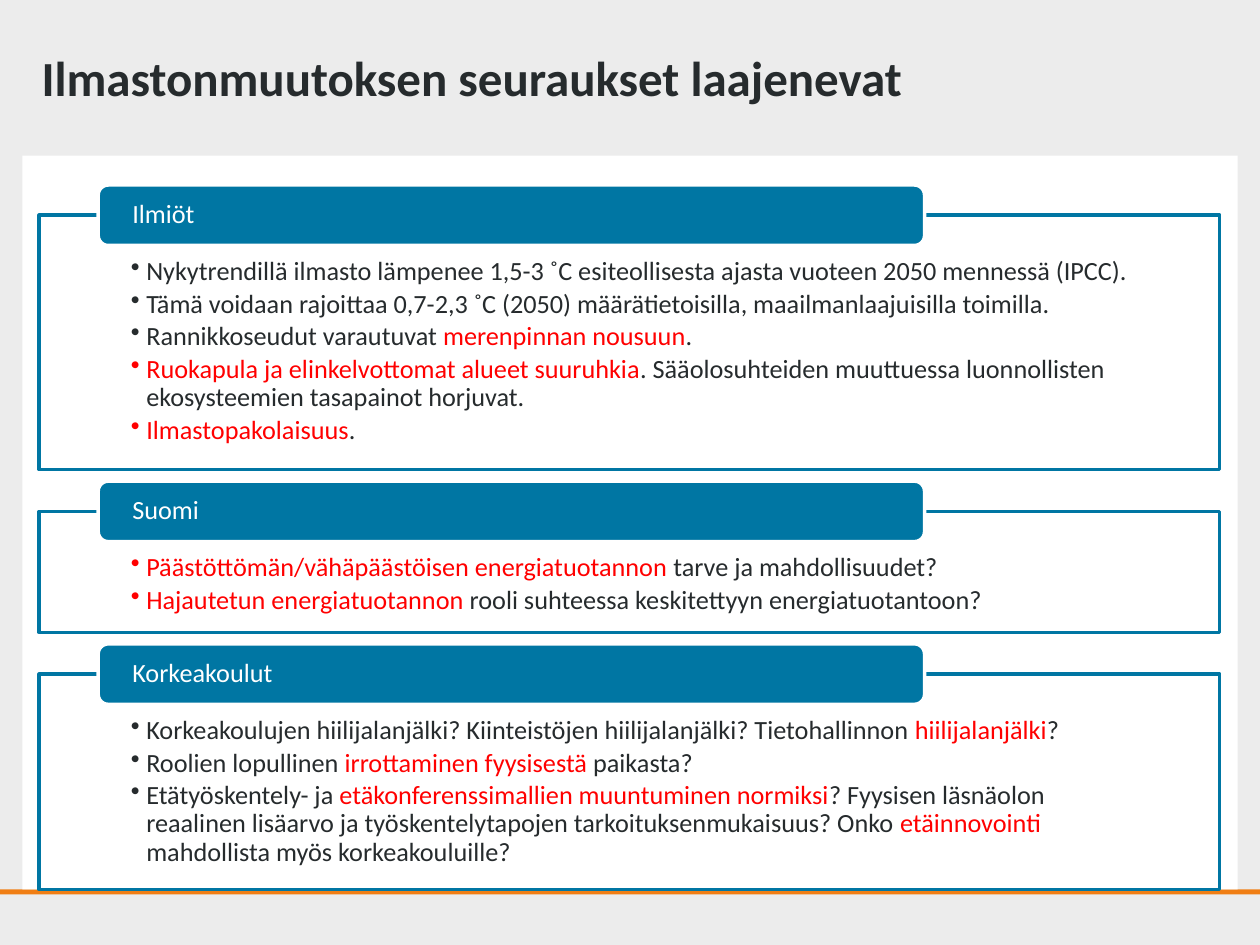
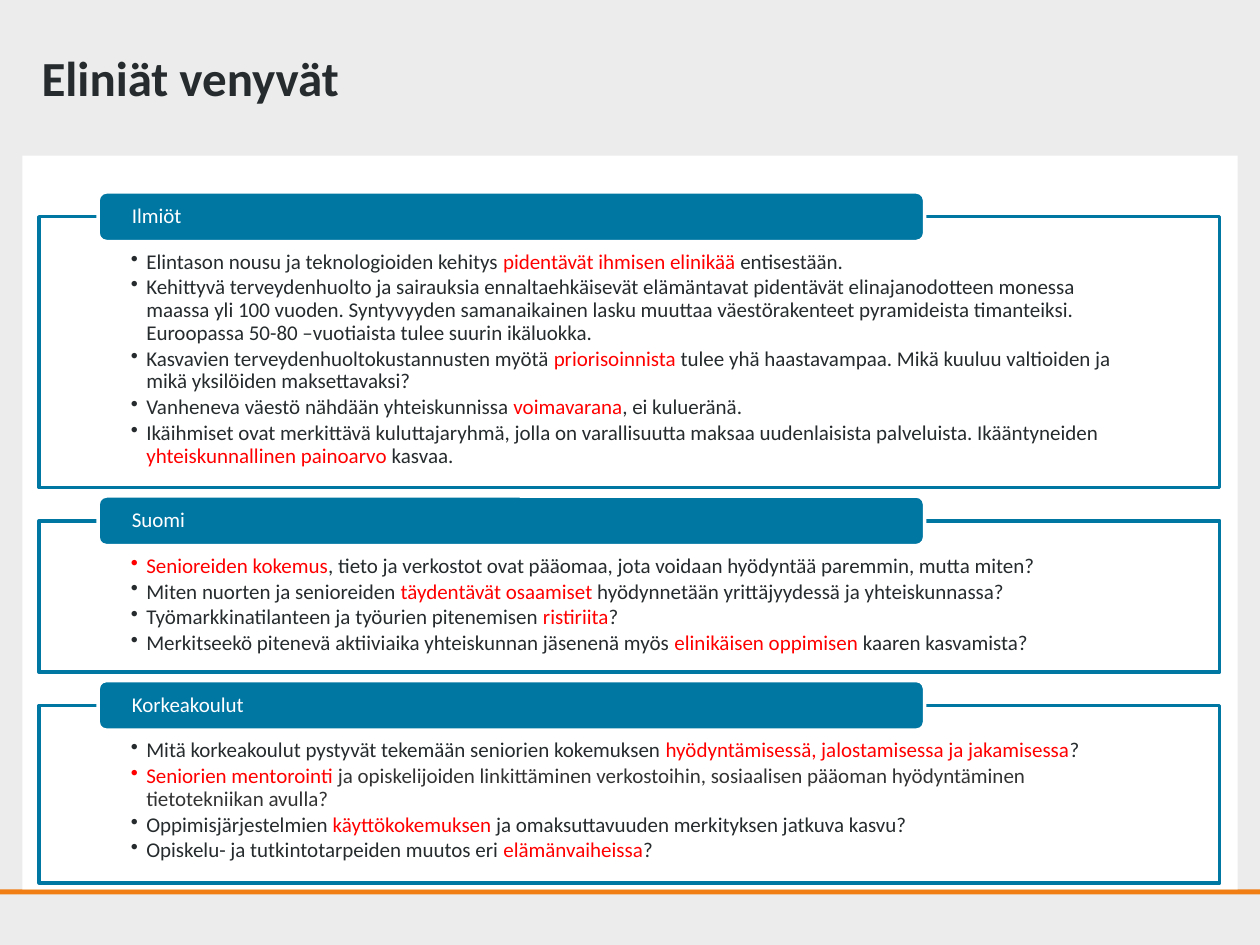
from dataclasses import dataclass

from lxml import etree
from pptx import Presentation
from pptx import util as u
from pptx.dml.color import RGBColor
from pptx.enum import shapes, text
from pptx.oxml import ns


@dataclass(frozen=True)
class Theme:
    font: str = "Calibri"
    backdrop: str = "ECECEC"
    paper: str = "FFFFFF"
    strip: str = "F07E14"
    panel: str = "0076A3"
    ink: str = "262B2D"
    soft: str = "333333"
    accent: str = "FF0000"
    title_size: int = 28
    line_width: int = 2
    line_spacing: float = 0.9


THEME = Theme()


@dataclass(frozen=True)
class Density:
    size: int
    top: float
    gap: float
    tab_height: float
    inset_top: float
    inset_bottom: float
    space_after: float


ROOMY = Density(15, 4.34, 0.84, 1.22, 0.86, 0.3, 2.4)
TIGHT = Density(12, 4.37, 0.67, 1.0, 0.69, 0.23, 1.8)

SLIDES = [
    ("Ilmastonmuutoksen seuraukset laajenevat", ROOMY, [
        ("Ilmiöt", 5.13, [
            "Nykytrendillä ilmasto lämpenee 1,5-3 ˚C esiteollisesta ajasta vuoteen 2050 mennessä (IPCC).",
            "Tämä voidaan rajoittaa 0,7-2,3 ˚C (2050) määrätietoisilla, maailmanlaajuisilla toimilla.",
            "Rannikkoseudut varautuvat *merenpinnan nousuun*.",
            "*Ruokapula ja elinkelvottomat alueet suuruhkia*. Sääolosuhteiden muuttuessa "
            "luonnollisten ekosysteemien tasapainot horjuvat.",
            "*Ilmastopakolaisuus*.",
        ]),
        ("Suomi", 2.44, [
            "*Päästöttömän/vähäpäästöisen energiatuotannon* tarve ja mahdollisuudet?",
            "*Hajautetun energiatuotannon* rooli suhteessa keskitettyyn energiatuotantoon?",
        ]),
        ("Korkeakoulut", 4.34, [
            "Korkeakoulujen hiilijalanjälki? Kiinteistöjen hiilijalanjälki? "
            "Tietohallinnon *hiilijalanjälki*?",
            "Roolien lopullinen *irrottaminen fyysisestä* paikasta?",
            "Etätyöskentely- ja *etäkonferenssimallien muuntuminen normiksi*? Fyysisen läsnäolon "
            "reaalinen lisäarvo ja työskentelytapojen tarkoituksenmukaisuus? "
            "Onko *etäinnovointi* mahdollista myös korkeakouluille?",
        ]),
    ]),
    ("Eliniät venyvät", TIGHT, [
        ("Ilmiöt", 5.46, [
            "Elintason nousu ja teknologioiden kehitys *pidentävät ihmisen elinikää* entisestään.",
            "Kehittyvä terveydenhuolto ja sairauksia ennaltaehkäisevät elämäntavat pidentävät "
            "elinajanodotteen monessa maassa yli 100 vuoden. Syntyvyyden samanaikainen lasku "
            "muuttaa väestörakenteet pyramideista timanteiksi. "
            "Euroopassa 50-80 –vuotiaista tulee suurin ikäluokka.",
            "Kasvavien terveydenhuoltokustannusten myötä *priorisoinnista* tulee yhä "
            "haastavampaa. Mikä kuuluu valtioiden ja mikä yksilöiden maksettavaksi?",
            "Vanheneva väestö nähdään yhteiskunnissa *voimavarana*, ei kulueränä.",
            "Ikäihmiset ovat merkittävä kuluttajaryhmä, jolla on varallisuutta maksaa "
            "uudenlaisista palveluista. Ikääntyneiden *yhteiskunnallinen painoarvo* kasvaa.",
        ]),
        ("Suomi", 3.05, [
            "*Senioreiden kokemus*, tieto ja verkostot ovat pääomaa, jota voidaan hyödyntää "
            "paremmin, mutta miten?",
            "Miten nuorten ja senioreiden *täydentävät osaamiset* hyödynnetään yrittäjyydessä "
            "ja yhteiskunnassa?",
            "Työmarkkinatilanteen ja työurien pitenemisen *ristiriita*?",
            "Merkitseekö pitenevä aktiiviaika yhteiskunnan jäsenenä myös "
            "*elinikäisen oppimisen* kaaren kasvamista?",
        ]),
        ("Korkeakoulut", 3.58, [
            "Mitä korkeakoulut pystyvät tekemään seniorien kokemuksen "
            "*hyödyntämisessä, jalostamisessa ja jakamisessa*?",
            ("*Seniorien mentorointi* ja opiskelijoiden linkittäminen verkostoihin, sosiaalisen "
             "pääoman hyödyntäminen tietotekniikan avulla?", THEME.soft),
            "Oppimisjärjestelmien *käyttökokemuksen* ja omaksuttavuuden merkityksen jatkuva kasvu?",
            "Opiskelu- ja tutkintotarpeiden muutos eri *elämänvaiheissa*?",
        ]),
    ]),
]


def apply(target, values):
    for name, value in values.items():
        setattr(target, name, value)


def colour(value):
    return RGBColor.from_string(value)


def set_frame(box, anchor, left, top, right, bottom):
    apply(box.text_frame, {
        "word_wrap": True,
        "vertical_anchor": anchor,
        "margin_left": u.Cm(left),
        "margin_top": u.Cm(top),
        "margin_right": u.Cm(right),
        "margin_bottom": u.Cm(bottom),
    })


def add_span(para, words, size, ink, bold=False):
    span = para.add_run()
    span.text = words
    apply(span.font, {"name": THEME.font, "size": u.Pt(size), "bold": bold})
    span.font.color.rgb = colour(ink)


def add_block(page, kind, place, fill, line=None):
    box = page.shapes.add_shape(kind, *map(u.Cm, place))
    box.shadow.inherit = False
    box.fill.solid()
    box.fill.fore_color.rgb = colour(fill)
    if line:
        box.line.color.rgb = colour(line)
        box.line.width = u.Pt(THEME.line_width)
    else:
        box.line.fill.background()
    return box


def add_bullet(para, item, density):
    words, ink = item if isinstance(item, tuple) else (item, THEME.ink)
    properties = para._p.get_or_add_pPr()
    properties.set("marL", str(u.Cm(0.31)))
    properties.set("indent", str(-u.Cm(0.31)))
    etree.SubElement(properties, ns.qn("a:buChar")).set("char", "•")
    apply(para, {
        "alignment": text.PP_ALIGN.LEFT,
        "line_spacing": THEME.line_spacing,
        "space_after": u.Pt(density.space_after),
    })
    for index, part in enumerate(words.split("*")):
        if part:
            add_span(para, part, density.size, THEME.accent if index % 2 else ink)


def add_panel(page, top, height, items, density):
    box = add_block(page, shapes.MSO_SHAPE.RECTANGLE, (0.79, top, 23.8, height),
                    THEME.paper, THEME.panel)
    set_frame(box, text.MSO_ANCHOR.TOP, 1.85, density.inset_top, 1.85, density.inset_bottom)
    frame = box.text_frame
    for index, item in enumerate(items):
        para = frame.add_paragraph() if index else frame.paragraphs[0]
        add_bullet(para, item, density)


def add_tab(page, top, label, density):
    height = density.tab_height
    box = add_block(page, shapes.MSO_SHAPE.ROUNDED_RECTANGLE,
                    (1.98, top - height / 2, 16.66, height), THEME.panel, THEME.paper)
    set_frame(box, text.MSO_ANCHOR.MIDDLE, 0.63, 0, 0.63, 0)
    para = box.text_frame.paragraphs[0]
    apply(para, {"alignment": text.PP_ALIGN.LEFT, "line_spacing": THEME.line_spacing})
    add_span(para, label, density.size, THEME.paper)


def add_title(page, words):
    box = page.shapes.add_textbox(*map(u.Cm, (0.64, 0, 24.13, 3.12)))
    set_frame(box, text.MSO_ANCHOR.MIDDLE, 0.2, 0.1, 0.2, 0.1)
    add_span(box.text_frame.paragraphs[0], words, THEME.title_size, THEME.ink, True)


def add_page(deck, title):
    page = deck.slides.add_slide(deck.slide_layouts[6])
    page.background.fill.solid()
    page.background.fill.fore_color.rgb = colour(THEME.backdrop)
    rectangle = shapes.MSO_SHAPE.RECTANGLE
    add_block(page, rectangle, (0, 17.93, 25.4, 0.1), THEME.strip)
    add_block(page, rectangle, (0.45, 3.14, 24.5, 14.79), THEME.paper)
    add_title(page, title)
    return page


def main():
    deck = Presentation()
    apply(deck, {"slide_width": u.Cm(25.4), "slide_height": u.Cm(19.05)})
    for title, density, panels in SLIDES:
        page = add_page(deck, title)
        top = density.top
        for label, height, items in panels:
            add_panel(page, top, height, items, density)
            add_tab(page, top, label, density)
            top += height + density.gap
    deck.save("out.pptx")


if __name__ == "__main__":
    main()
